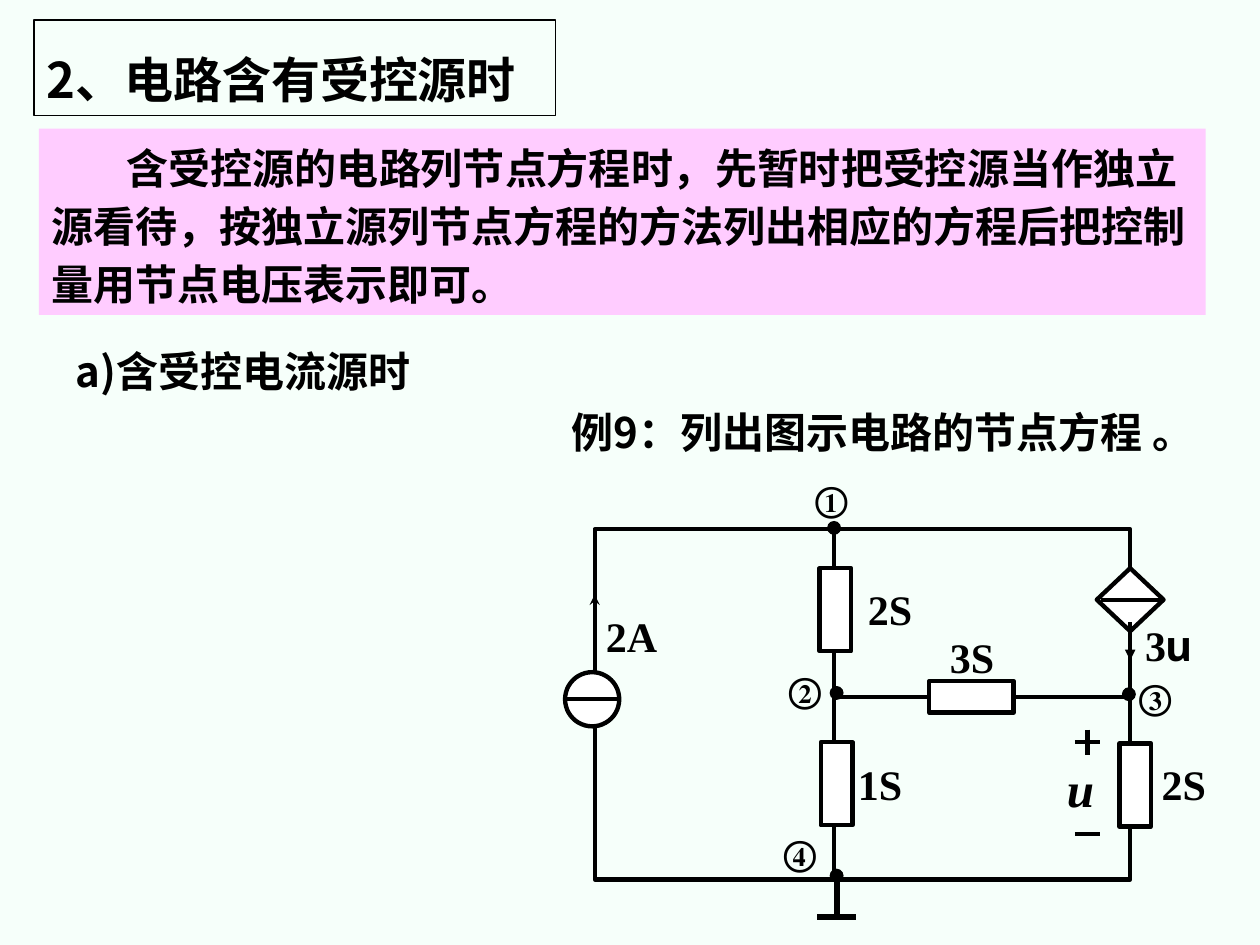
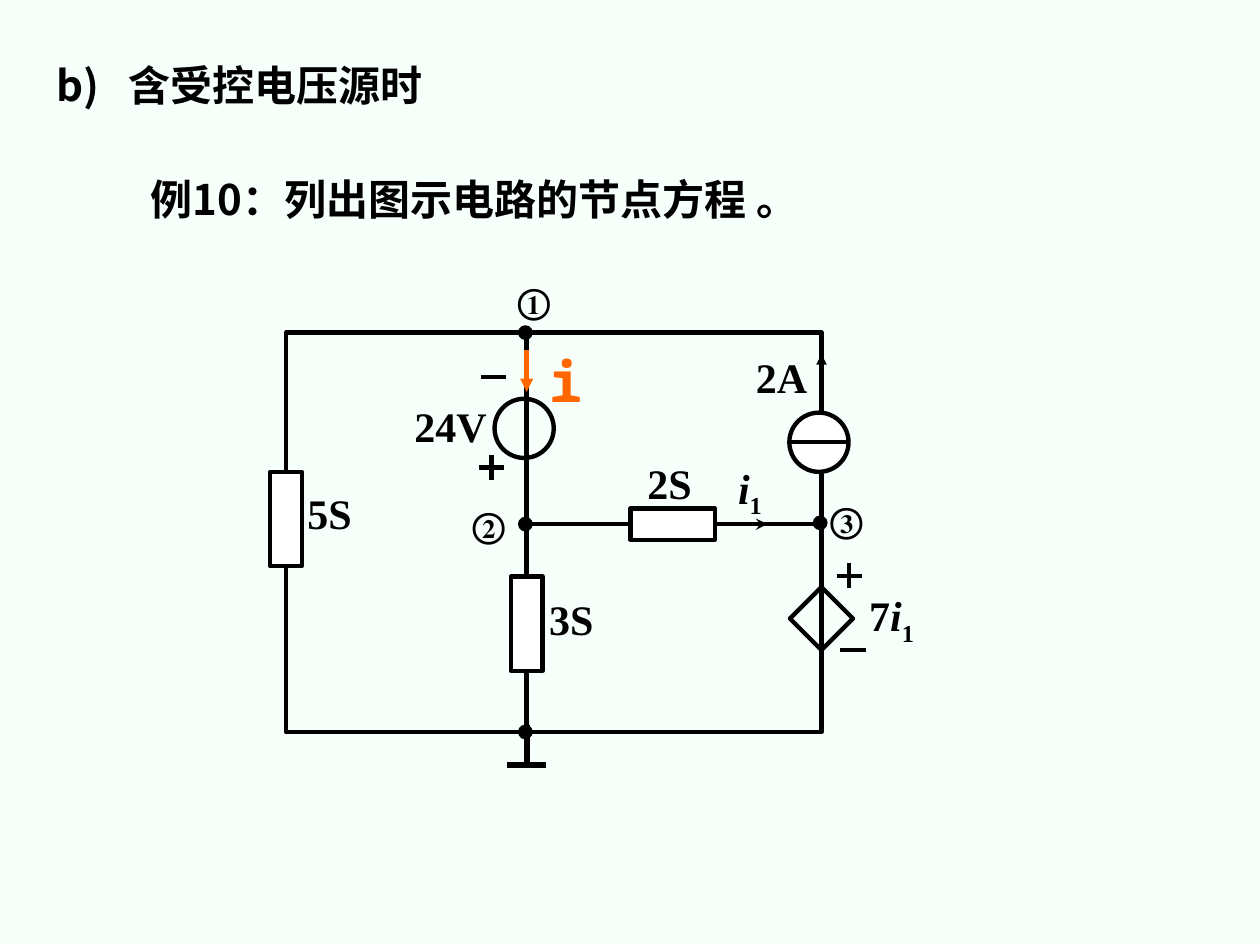
from lxml import etree
from pptx import Presentation
from pptx.dml.color import RGBColor
from pptx.enum.shapes import MSO_CONNECTOR, MSO_SHAPE
from pptx.enum.text import MSO_ANCHOR, MSO_AUTO_SIZE, PP_ALIGN
from pptx.oxml.ns import qn
from pptx.util import Inches, Pt

RECTANGLE, OVAL, DIAMOND = MSO_SHAPE.RECTANGLE, MSO_SHAPE.OVAL, MSO_SHAPE.FLOWCHART_DECISION
STRAIGHT = MSO_CONNECTOR.STRAIGHT
TITLE_ONLY = 5

COLOURS = {"background": "F6FFFA", "ink": "000000", "paper": "FFFFFF",
           "panel": "FFCCFF", "accent": "FF6600"}
CHINESE, SERIF, MONO = "Noto Sans CJK SC", "Times New Roman", "Noto Sans Mono"
WIRE = 2.5
GROUND_WIDTH = 3.5
BREADTH = 0.25  # short side of a resistor
NODE = 0.1

# A run is (text, style changes); a label is (runs, left, top, width, height, style).
VALUE = {"size": 24}
NODE_MARK = {"size": 20}
ITALIC = {"italic": True}
SUBSCRIPT = {"subscript": True}

SLIDES = [
    {
        "title": {"text": "2、电路含有受控源时", "box": (0.27, 0.16, 4.14, 0.76),
                  "size": 28, "framed": True},
        "panel": {"text": "含受控源的电路列节点方程时，先暂时把受控源当作独立源看待，"
                          "按独立源列节点方程的方法列出相应的方程后把控制量用节点电压表示即可。",
                  "box": (0.31, 1.02, 9.26, 1.48)},
        "lines": [("a)含受控电流源时", (0.5, 2.53, 3.08, 0.66)),
                  ("例9：列出图示电路的节点方程 。", (4.44, 3.02, 5.44, 0.66))],
        "frame": (4.72, 4.2, 4.25, 2.78),
        "branches": [((6.62, 4.21), (6.62, 6.98)), ((6.62, 5.53), (8.96, 5.53))],
        "ground": (6.64, 6.96),
        # centre x, centre y, width, height
        "resistors": [(6.63, 4.84, BREADTH, 0.66), (6.64, 6.22, BREADTH, 0.66),
                      (9.01, 6.23, BREADTH, 0.66), (7.71, 5.53, 0.67, BREADTH)],
        # outline, centre x, centre y, width, height, fill, bar across
        "sources": [(OVAL, 4.7, 5.55, 0.43, 0.43, "paper", True),
                    (DIAMOND, 8.97, 4.76, 0.53, 0.5, "paper", True)],
        "plus": [(8.63, 5.89)],
        "minus": [(8.63, 6.62)],
        "arrows": [((4.72, 5.02), (4.72, 4.72), 2, "stealth", "ink"),
                   ((8.97, 4.94), (8.97, 5.24), 2, "triangle", "ink")],
        "labels": [
            ([("2A", {})], 4.71, 4.8, 0.92, 0.5, VALUE),
            ([("2S", {})], 6.79, 4.58, 0.75, 0.5, VALUE),
            ([("3S", {})], 7.44, 4.96, 0.75, 0.5, VALUE),
            ([("1S", {})], 6.71, 5.97, 0.75, 0.5, VALUE),
            ([("2S", {})], 9.12, 5.97, 0.75, 0.5, VALUE),
            ([("3", {}), ("u", {"font": MONO})], 8.99, 4.87, 0.67, 0.5, VALUE),
            ([("u", ITALIC)], 8.37, 5.97, 0.5, 0.57, {"size": 28}),
            ([("①", {})], 6.37, 3.74, 0.58, 0.44, NODE_MARK),
            ([("②", {})], 6.16, 5.26, 0.79, 0.44, NODE_MARK),
            ([("③", {})], 8.94, 5.31, 0.59, 0.44, NODE_MARK),
            ([("④", {})], 6.12, 6.55, 0.58, 0.44, NODE_MARK),
        ],
        "nodes": [(6.62, 4.19), (6.64, 5.5), (8.96, 5.51), (6.64, 6.95)],
        "node_line": 0.75,
    },
    {
        "title": {"text": "b)\t含受控电压源时", "box": (0.35, 0.26, 3.62, 0.66),
                  "size": 24, "framed": False, "tab": 0.57},
        "panel": None,
        "lines": [("例10：列出图示电路的节点方程 。", (1.1, 1.17, 5.57, 0.66))],
        "frame": (2.27, 2.64, 4.25, 3.17),
        "branches": [((4.18, 2.66), (4.18, 5.81)), ((4.18, 4.16), (6.51, 4.16))],
        "ground": (4.18, 5.75),
        "resistors": [(2.27, 4.12, BREADTH, 0.75), (4.18, 4.95, BREADTH, 0.75),
                      (5.34, 4.16, 0.67, BREADTH)],
        "sources": [(OVAL, 4.16, 3.4, 0.47, 0.47, None, False),
                    (OVAL, 6.5, 3.51, 0.47, 0.47, "paper", True),
                    (DIAMOND, 6.52, 4.91, 0.5, 0.5, None, False)],
        "plus": [(3.9, 3.71), (6.74, 4.57)],
        "minus": [(3.92, 2.99), (6.77, 5.16)],
        "arrows": [((5.68, 4.16), (6.09, 4.16), 2.25, "stealth", "ink"),
                   ((6.52, 3.14), (6.52, 2.81), 2, "triangle", "ink"),
                   ((4.18, 2.78), (4.18, 3.11), WIRE, "triangle", "accent")],
        "labels": [
            ([("5S", {})], 2.34, 3.82, 0.75, 0.5, VALUE),
            ([("24V", {})], 3.19, 3.13, 0.83, 0.5, VALUE),
            ([("3S", {})], 4.26, 4.66, 0.75, 0.5, VALUE),
            ([("2S", {})], 5.04, 3.58, 0.6, 0.5, VALUE),
            ([("2A", {})], 5.9, 2.74, 0.75, 0.5, VALUE),
            ([("i", ITALIC), ("1", SUBSCRIPT)], 5.76, 3.62, 0.5, 0.56, VALUE),
            ([("7", {}), ("i", ITALIC), ("1", SUBSCRIPT)], 6.8, 4.63, 0.75, 0.56, VALUE),
            ([("i", {})], 4.26, 2.7, 0.5, 0.64,
             {"size": 32, "font": MONO, "colour": "accent"}),
            ([("①", {})], 4.01, 2.17, 0.5, 0.44, NODE_MARK),
            ([("②", {})], 3.65, 3.95, 0.59, 0.44, NODE_MARK),
            ([("③", {})], 6.49, 3.91, 0.79, 0.44, NODE_MARK),
        ],
        "nodes": [(4.17, 2.64), (4.17, 4.16), (6.51, 4.15), (4.17, 5.81)],
        "node_line": 1.25,
    },
]


def colour(name):
    return RGBColor.from_string(COLOURS[name])


def style_run(run, size, font=SERIF, east=None, colour_name="ink", italic=False,
              subscript=False):
    run.font.size = Pt(size)
    run.font.bold = True
    run.font.italic = italic
    run.font.name = font
    run.font.color.rgb = colour(colour_name)
    properties = run.font._element
    etree.SubElement(properties, qn("a:ea")).set("typeface", east or font)
    if subscript:
        properties.set("baseline", "-25000")


def prepare_frame(text_frame):
    text_frame.word_wrap = True
    text_frame.auto_size = MSO_AUTO_SIZE.NONE
    text_frame.vertical_anchor = MSO_ANCHOR.TOP
    text_frame.margin_left = text_frame.margin_right = Inches(0.1)
    text_frame.margin_top = text_frame.margin_bottom = Inches(0.05)


def write_chinese(text_frame, text, size=24, font=CHINESE, spacing=1.4, indent=0, tab=None):
    prepare_frame(text_frame)
    text_frame.text = text
    paragraph = text_frame.paragraphs[0]
    paragraph.alignment = PP_ALIGN.LEFT
    paragraph.line_spacing = spacing
    properties = paragraph._p.get_or_add_pPr()
    if indent:
        properties.set("indent", str(Inches(indent)))
    if tab:
        stops = etree.SubElement(properties, qn("a:tabLst"))
        etree.SubElement(stops, qn("a:tab"), pos=str(Inches(tab)), algn="l")
    for run in paragraph.runs:
        style_run(run, size, font, CHINESE)


def add_text_box(slide, box):
    return slide.shapes.add_textbox(*map(Inches, box)).text_frame


def add_label(slide, runs, left, top, width, height, style):
    text_frame = add_text_box(slide, (left, top, width, height))
    prepare_frame(text_frame)
    paragraph = text_frame.paragraphs[0]
    for text, changes in runs:
        look = {**style, **changes}
        run = paragraph.add_run()
        run.text = text
        style_run(run, look["size"], look.get("font", SERIF),
                  colour_name=look.get("colour", "ink"),
                  italic=look.get("italic", False), subscript=look.get("subscript", False))


def add_outline(slide, kind, box, fill=None, line=WIRE):
    shape = slide.shapes.add_shape(kind, *map(Inches, box))
    shape.shadow.inherit = False
    if fill:
        shape.fill.solid()
        shape.fill.fore_color.rgb = colour(fill)
    else:
        shape.fill.background()
    if line:
        shape.line.color.rgb = colour("ink")
        shape.line.width = Pt(line)
    else:
        shape.line.fill.background()
    return shape


def add_centred(slide, kind, x, y, width, height, fill=None, line=WIRE):
    add_outline(slide, kind, (x - width / 2, y - height / 2, width, height), fill, line)


def add_line(slide, start, end, width=WIRE, tip=None, colour_name="ink"):
    connector = slide.shapes.add_connector(STRAIGHT, *map(Inches, (*start, *end)))
    connector.line.color.rgb = colour(colour_name)
    connector.line.width = Pt(width)
    if tip:
        etree.SubElement(connector.line._get_or_add_ln(), qn("a:tailEnd"), type=tip)
    etree.SubElement(connector._element.spPr, qn("a:effectLst"))


def add_bar(slide, x, y, length=0.2, width=WIRE):
    add_line(slide, (x - length / 2, y), (x + length / 2, y), width)


def add_ground(slide, x, y):
    foot = y + 0.32
    add_line(slide, (x, y), (x, foot), GROUND_WIDTH)
    add_bar(slide, x, foot, 0.31, GROUND_WIDTH)


def draw_circuit(slide, circuit):
    add_ground(slide, *circuit["ground"])
    add_outline(slide, RECTANGLE, circuit["frame"])
    for start, end in circuit["branches"]:
        add_line(slide, start, end)
    for resistor in circuit["resistors"]:
        add_centred(slide, RECTANGLE, *resistor, fill="paper")
    for kind, x, y, width, height, fill, barred in circuit["sources"]:
        add_centred(slide, kind, x, y, width, height, fill)
        if barred:
            add_bar(slide, x, y, min(width, 0.47))
    for x, y in circuit["plus"]:
        add_line(slide, (x, y - 0.1), (x, y + 0.1))
    for x, y in circuit["plus"] + circuit["minus"]:
        add_bar(slide, x, y)
    for arrow in circuit["arrows"]:
        add_line(slide, *arrow)
    for label in circuit["labels"]:
        add_label(slide, *label)
    for x, y in circuit["nodes"]:
        add_centred(slide, OVAL, x, y, NODE, NODE, "ink", circuit["node_line"])


def place_title(slide, title):
    shape = slide.shapes.title
    shape.left, shape.top, shape.width, shape.height = map(Inches, title["box"])
    write_chinese(shape.text_frame, title["text"], title["size"], tab=title.get("tab"))
    if title["framed"]:
        shape.line.color.rgb = colour("ink")
        shape.line.width = Pt(0.75)


def build_slide(presentation, content):
    slide = presentation.slides.add_slide(presentation.slide_layouts[TITLE_ONLY])
    place_title(slide, content["title"])
    if content["panel"]:
        panel = add_outline(slide, RECTANGLE, content["panel"]["box"], "panel", line=None)
        write_chinese(panel.text_frame, content["panel"]["text"], font=SERIF,
                      spacing=1.15, indent=0.6)
    for text, box in content["lines"]:
        write_chinese(add_text_box(slide, box), text)
    draw_circuit(slide, content)


def main():
    presentation = Presentation()
    presentation.slide_width, presentation.slide_height = Inches(10), Inches(7.5)
    background = presentation.slide_master.background.fill
    background.solid()
    background.fore_color.rgb = colour("background")
    for content in SLIDES:
        build_slide(presentation, content)
    presentation.save("out.pptx")


if __name__ == "__main__":
    main()
